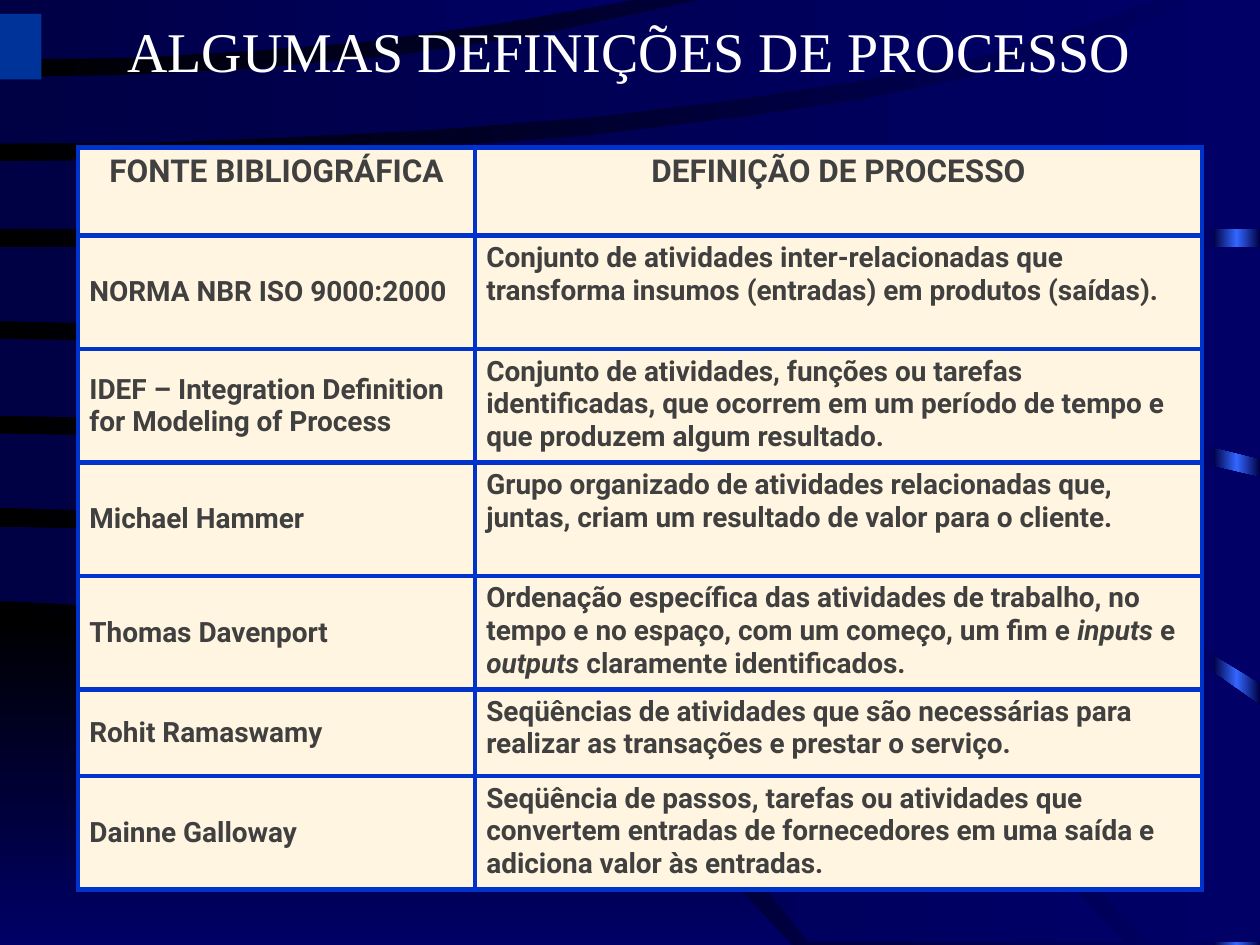
from copy import deepcopy

from lxml import etree
from pptx import Presentation
from pptx.dml.color import RGBColor
from pptx.enum.shapes import MSO_SHAPE
from pptx.enum.text import MSO_ANCHOR, PP_ALIGN
from pptx.oxml.ns import qn
from pptx.util import Inches, Pt

RECTANGLE = MSO_SHAPE.RECTANGLE
CENTER, LEFT = PP_ALIGN.CENTER, PP_ALIGN.LEFT
TOP, MIDDLE = MSO_ANCHOR.TOP, MSO_ANCHOR.MIDDLE

WIDTH, HEIGHT = 10, 7.5
COLORS = {
    "black": "000000", "navy": "000066", "dark": "000044", "glow": "3366FF",
    "tab": "003399", "border": "0033CC", "cream": "FFF5E0",
    "ink": "404040", "white": "FFFFFF",
}
TITLE_FONT = {"name": "Times New Roman", "size": Pt(32), "color": "white"}
HEADER_FONT = {"name": "Roboto", "size": Pt(18), "bold": True, "color": "ink"}
BODY_FONT = {**HEADER_FONT, "size": Pt(16)}

# Outlines of the sweeping background bands, in inches.
CORNER = [
    (0, 7.5), (0, 4.91), (0.61, 4.93), (1.39, 5), (2.18, 5.14), (3.05, 5.38),
    (3.86, 5.68), (4.62, 6.06), (5.28, 6.51), (5.77, 6.94), (6.28, 7.5)]
BANDS = [
    [(0, 4.18), (0.87, 4.2), (1.66, 4.26), (2.49, 4.37), (3.35, 4.52),
     (4.28, 4.75), (5.15, 5.02), (6.06, 5.39), (6.88, 5.81), (7.66, 6.3),
     (8.33, 6.85), (8.93, 7.48), (6.42, 7.48), (6.04, 7), (5.53, 6.51),
     (4.92, 6.08), (4.16, 5.65), (3.42, 5.35), (2.68, 5.11), (1.85, 4.93),
     (1.05, 4.82), (0, 4.77)],
    [(0, 3.44), (0.97, 3.46), (1.95, 3.5), (2.89, 3.58), (3.84, 3.68),
     (4.74, 3.81), (5.7, 3.98), (6.56, 4.18), (7.38, 4.4), (8.18, 4.68),
     (9.04, 5.03), (9.69, 5.38), (10, 5.6), (10, 7.48), (9.09, 7.48),
     (8.62, 6.94), (8.1, 6.46), (7.56, 6.06), (6.78, 5.58), (5.97, 5.19),
     (5.21, 4.89), (4.42, 4.63), (3.6, 4.43), (2.67, 4.25), (1.83, 4.13),
     (0.97, 4.06), (0, 4.03)],
    [(0, 2.69), (1.24, 2.71), (2.65, 2.76), (3.99, 2.84), (5.23, 2.96),
     (6.62, 3.13), (7.68, 3.3), (8.59, 3.46), (10, 3.79), (10, 5.42),
     (9.51, 5.12), (8.81, 4.77), (8.17, 4.52), (7.43, 4.27), (6.41, 3.99),
     (5.6, 3.82), (4.62, 3.64), (3.51, 3.49), (2.11, 3.37), (1.09, 3.32),
     (0, 3.3)],
    [(0, 1.96), (10, 1.96), (10, 3.64), (9.15, 3.43), (8.13, 3.22),
     (7.02, 3.03), (6.07, 2.9), (5.02, 2.79), (3.89, 2.69), (2.78, 2.62),
     (1.47, 2.58), (0, 2.55)],
    [(0, 1.28), (0.93, 1.27), (2.03, 1.25), (3.29, 1.18), (4.65, 1.08),
     (5.97, 0.92), (6.84, 0.79), (7.71, 0.61), (8.35, 0.44), (8.92, 0.25),
     (9.43, 0), (10, 0), (10, 1.82), (0, 1.82)],
    [(0, 0.61), (0.87, 0.6), (1.97, 0.55), (3.08, 0.45), (4.16, 0.3),
     (4.82, 0.16), (5.56, 0), (9.17, 0), (8.54, 0.23), (7.72, 0.46),
     (6.83, 0.64), (5.77, 0.8), (4.69, 0.93), (3.41, 1.03), (2.26, 1.09),
     (1.26, 1.13), (0, 1.14)],
    [(0, 0), (5.01, 0), (3.99, 0.18), (2.89, 0.33), (2.02, 0.4),
     (1.01, 0.46), (0, 0.47)],
]

TITLE = "ALGUMAS DEFINIÇÕES DE PROCESSO"
COLUMN_WIDTHS = [3.15, 5.77]
ROW_HEIGHTS = [0.7, 0.9, 0.9, 0.9, 0.9, 0.69, 0.9]
# Asterisks enclose the words set in italics.
ROWS = [
    ("FONTE BIBLIOGRÁFICA", "DEFINIÇÃO DE PROCESSO"),
    ("NORMA NBR ISO 9000:2000",
     "Conjunto de atividades inter-relacionadas que transforma insumos "
     "(entradas) em produtos (saídas)."),
    ("IDEF – Integration Definition for Modeling of Process",
     "Conjunto de atividades, funções ou tarefas identificadas, que ocorrem "
     "em um período de tempo e que produzem algum resultado."),
    ("Michael Hammer",
     "Grupo organizado de atividades relacionadas que, juntas, criam um "
     "resultado de valor para o cliente."),
    ("Thomas Davenport",
     "Ordenação específica das atividades de trabalho, no tempo e no espaço, "
     "com um começo, um fim e *inputs *e *outputs* claramente identificados."),
    ("Rohit Ramaswamy",
     "Seqüências de atividades que são necessárias para realizar as "
     "transações e prestar o serviço."),
    ("Dainne Galloway",
     "Seqüência de passos, tarefas ou atividades que convertem entradas de "
     "fornecedores em uma saída e adiciona valor às entradas."),
]


def rgb(name):
    """Return the named colour."""
    return RGBColor.from_string(COLORS[name])


def paint_gradient(fill, element, names, angle=0):
    """Fill with evenly spaced colour stops."""
    fill.gradient()
    fill.gradient_angle = angle
    stop_list = element.xpath(".//a:gsLst")[0]
    while len(stop_list) < len(names):
        stop_list.append(deepcopy(stop_list[-1]))
    for index, (stop, name) in enumerate(zip(fill.gradient_stops, names)):
        stop.position = index / (len(names) - 1)
        stop.color.rgb = rgb(name)


def add_rectangle(page, left, top, width, height):
    """Add a plain rectangle without line or shadow."""
    shape = page.shapes.add_shape(RECTANGLE, *map(Inches, (left, top, width, height)))
    shape.shadow.inherit = False
    shape.line.fill.background()
    return shape


def add_band(page, points, names, angle=0):
    """Add a closed outline filled with a gradient."""
    corners = [(Inches(x), Inches(y)) for x, y in points]
    builder = page.shapes.build_freeform(*corners[0])
    builder.add_line_segments(corners[1:], close=True)
    band = builder.convert_to_shape()
    band.shadow.inherit = False
    band.line.fill.background()
    paint_gradient(band.fill, band.element, names, angle)


def write(frame, text, style, align):
    """Write one paragraph, with marked words in italics."""
    para = frame.paragraphs[0]
    para.alignment = align
    for index, part in enumerate(text.split("*")):
        span = para.add_run()
        span.text = part
        for name, value in style.items():
            if name == "color":
                span.font.color.rgb = rgb(value)
            else:
                setattr(span.font, name, value)
        if index % 2:
            span.font.italic = True


def add_borders(cell):
    """Draw a line on all four sides of a cell."""
    properties = cell._tc.get_or_add_tcPr()
    for index, side in enumerate(("lnL", "lnR", "lnT", "lnB")):
        line = etree.Element(qn(f"a:{side}"), w=str(Pt(3)))
        solid = etree.SubElement(line, qn("a:solidFill"))
        etree.SubElement(solid, qn("a:srgbClr"), val=COLORS["border"])
        properties.insert(index, line)


def add_background(page):
    """Build the dark backdrop with its glowing right edge and bands."""
    paint_gradient(page.background.fill, page.element, ["black", "navy"])
    glow = add_rectangle(page, 9.63, 0, 0.37, HEIGHT)
    paint_gradient(glow.fill, glow.element, ["dark", "glow", "dark"])
    add_band(page, CORNER, ["black", "navy"], 270)
    for points in BANDS:
        add_band(page, points, ["dark", "navy"])


def add_title(page):
    """Add the tab at the left edge and the centred title."""
    tab = add_rectangle(page, 0, 0.11, 0.33, 0.52)
    tab.fill.solid()
    tab.fill.fore_color.rgb = rgb("tab")
    box = page.shapes.add_textbox(*map(Inches, (0.15, 0.08, 9.69, 0.64)))
    box.text_frame.word_wrap = True
    write(box.text_frame, TITLE, TITLE_FONT, CENTER)
    box.text_frame.paragraphs[0].space_before = Pt(4)


def add_definitions(page):
    """Add the table of sources and definitions."""
    size = (sum(COLUMN_WIDTHS), sum(ROW_HEIGHTS))
    table = page.shapes.add_table(
        len(ROWS), len(COLUMN_WIDTHS), *map(Inches, (0.62, 1.17, *size))).table
    for column, width in zip(table.columns, COLUMN_WIDTHS):
        column.width = Inches(width)
    for row_index, (row, height) in enumerate(zip(table.rows, ROW_HEIGHTS)):
        row.height = Inches(height)
        header = row_index == 0
        for column_index, cell in enumerate(row.cells):
            cell.margin_left = cell.margin_right = Inches(0.09)
            cell.vertical_anchor = TOP if header or column_index else MIDDLE
            cell.fill.solid()
            cell.fill.fore_color.rgb = rgb("cream")
            add_borders(cell)
            write(cell.text_frame, ROWS[row_index][column_index],
                  HEADER_FONT if header else BODY_FONT, CENTER if header else LEFT)


def main():
    """Build and save the slide."""
    deck = Presentation()
    deck.slide_width, deck.slide_height = Inches(WIDTH), Inches(HEIGHT)
    page = deck.slides.add_slide(deck.slide_layouts[6])
    add_background(page)
    add_title(page)
    add_definitions(page)
    deck.save("out.pptx")


main()
